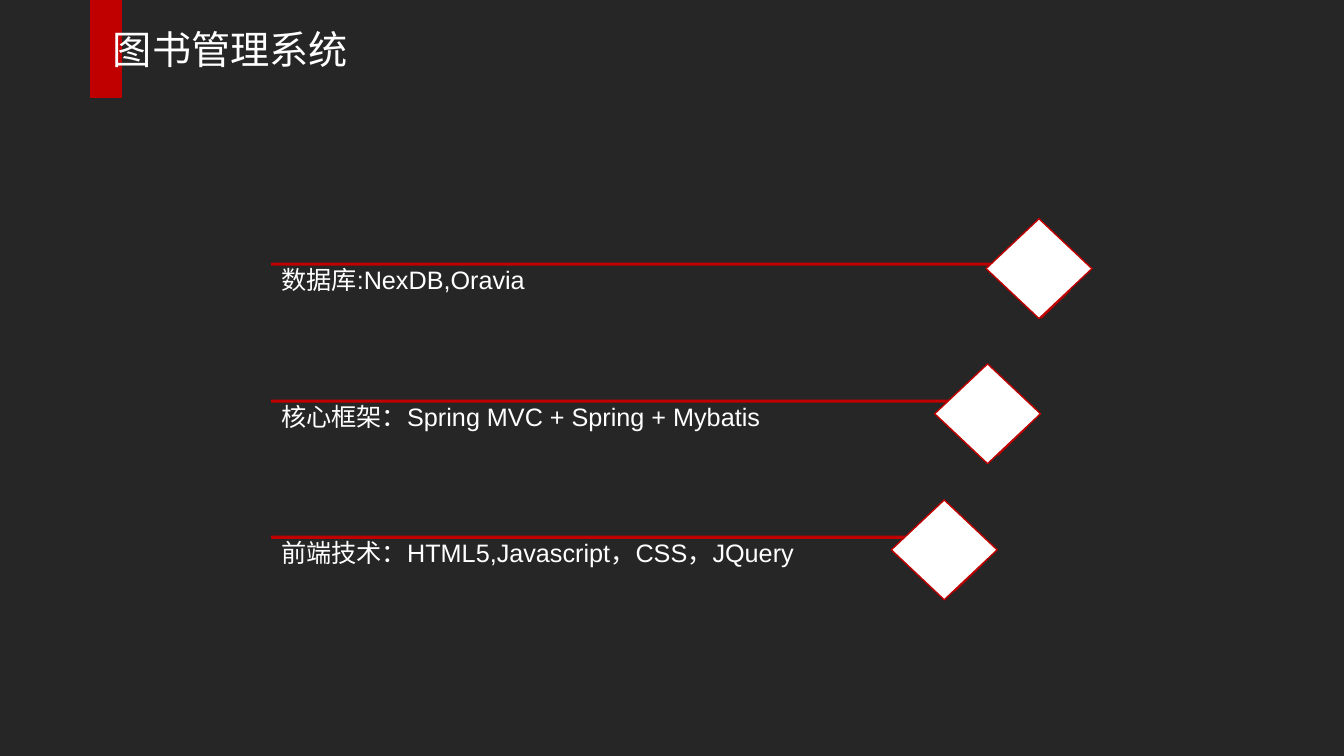
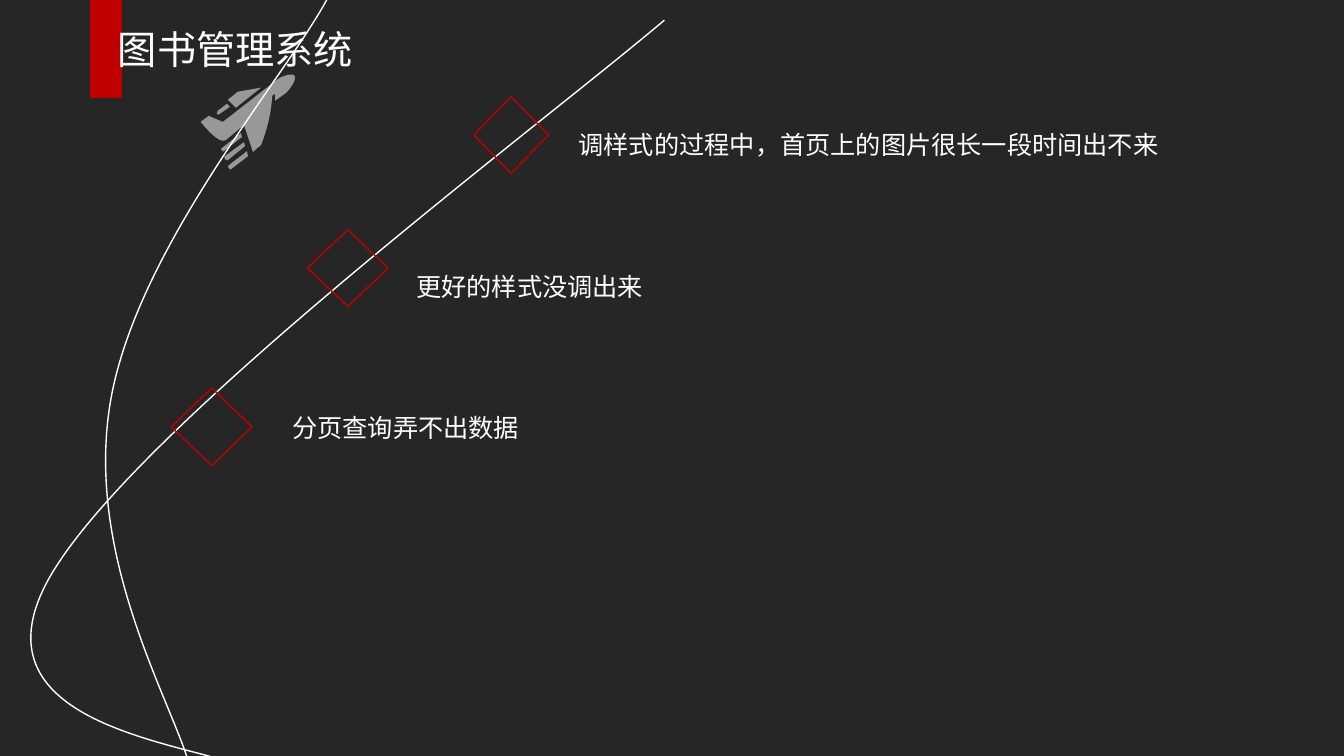
from lxml import etree
from pptx import Presentation
from pptx.dml.color import RGBColor
from pptx.enum.shapes import MSO_SHAPE
from pptx.enum.text import MSO_ANCHOR, MSO_AUTO_SIZE, PP_ALIGN
from pptx.oxml.ns import qn
from pptx.util import Inches, Pt

COLORS = {"bg": "262626", "accent": "C00000", "light": "FFFFFF"}
TITLE = "图书管理系统"

# label, arrow (left, top, width, height), diamond (left, top)
TECH_ROWS = [
    ("数据库:NexDB,Oravia", (2.69, 2.34, 7.95, 0.81), (9.78, 2.17)),
    ("核心框架：Spring MVC + Spring + Mybatis",
     (2.69, 3.7, 7.52, 0.81), (9.27, 3.61)),
    ("前端技术：HTML5,Javascript，CSS，JQuery",
     (2.69, 5.05, 7.09, 0.81), (8.84, 4.96)),
]

# label, text box (left, top, width), diamond box
PROBLEMS = [
    ("调样式的过程中，首页上的图片很长一段时间出不来",
     (5.64, 1.23, 6.34), (4.7, 0.96, 0.74, 0.76)),
    ("更好的样式没调出来", (4.03, 2.64, 6.02), (3.05, 2.28, 0.8, 0.76)),
    ("分页查询弄不出数据", (2.8, 4.04, 5.6), (1.7, 3.85, 0.8, 0.77)),
]

# In a contour, a pair is a corner and six numbers are a cubic curve.
TRAILS = [
    ((1.05, -0.36, 2.38, 7.92),
     [(1.87, 7.56), (1.68, 6.92, 0.83, 5.48, 1.1, 3.96),
      (1.37, 2.45, 2.81, 0.79, 3.24, 0), (3.66, -0.8, 3.24, 0, 3.24, 0)]),
    ((0.31, 0.2, 6.28, 7.44),
     [(2.49, 7.64), (1.97, 7.37, -0.34, 7.24, 0.48, 5.75),
      (1.3, 4.27, 5.33, 1.27, 6.59, 0.2)]),
]

PLANE_BOX = (1.99, 0.75, 0.93, 0.93)
PLANE = [
    # body
    [(2.21, 1.21), (2.07, 1.15), (1.99, 1.21),
     (2.01, 1.23, 2.17, 1.44, 2.24, 1.39), (2.42, 1.24), (2.51, 1.51),
     (2.54, 1.48, 2.55, 1.47, 2.59, 1.44),
     (2.65, 1.28, 2.69, 1.13, 2.7, 0.95), (2.73, 0.93),
     (2.73, 0.95, 2.73, 0.99, 2.73, 1), (2.84, 0.92),
     (2.87, 0.89, 2.95, 0.79, 2.92, 0.75),
     (2.9, 0.72, 2.78, 0.76, 2.75, 0.79)],
    # upper wing
    [(2.34, 1.07), (2.26, 0.99), (2.36, 0.91), (2.59, 0.87)],
    # streaks
    [(2.28, 1.06), (2.18, 1.13), (2.17, 1.14, 2.16, 1.14, 2.15, 1.13),
     (2.15, 1.12, 2.15, 1.11, 2.16, 1.1), (2.25, 1.03)],
    [(2.43, 1.45), (2.26, 1.59), (2.25, 1.59, 2.24, 1.59, 2.23, 1.58),
     (2.22, 1.57, 2.23, 1.56, 2.23, 1.55), (2.42, 1.41)],
    [(2.46, 1.55), (2.29, 1.68), (2.29, 1.68, 2.27, 1.68, 2.27, 1.67),
     (2.26, 1.66, 2.26, 1.65, 2.27, 1.64), (2.45, 1.5)],
    [(2.4, 1.36), (2.22, 1.5), (2.21, 1.51, 2.2, 1.5, 2.2, 1.49),
     (2.19, 1.48, 2.19, 1.47, 2.2, 1.47), (2.39, 1.32)],
]


def rgb(name):
    return RGBColor.from_string(COLORS[name])


def style(shape, fill=None, line=None, width=1):
    shape.shadow.inherit = False
    if fill:
        shape.fill.solid()
        shape.fill.fore_color.rgb = rgb(fill)
    else:
        shape.fill.background()
    if line:
        shape.line.color.rgb = rgb(line)
        shape.line.width = Pt(width)
    else:
        shape.line.fill.background()


def add_preset(s, kind, box, fill=None):
    shape = s.shapes.add_shape(kind, *map(Inches, box))
    style(shape, fill, "accent")
    return shape


def set_text(shape, text, size, font, anchor=MSO_ANCHOR.TOP):
    tf = shape.text_frame
    tf.text = text
    tf.word_wrap = True
    tf.auto_size = MSO_AUTO_SIZE.NONE
    tf.vertical_anchor = anchor
    p = tf.paragraphs[0]
    p.alignment = PP_ALIGN.LEFT
    p.font.size = Pt(size)
    p.font.name = font
    p.font.color.rgb = rgb("light")
    return tf


def add_titled_slide(prs, title_left):
    s = prs.slides.add_slide(prs.slide_layouts.get_by_name("Title Only"))
    title = s.shapes.title
    title.left, title.top, title.width, title.height = map(
        Inches, (title_left, 0.2, 3.25, 0.57))
    set_text(title, TITLE, 28, "Calibri")
    band = add_preset(s, MSO_SHAPE.RECTANGLE, (0.9, 0, 0.3, 0.97), "accent")
    title.element.addprevious(band.element)
    return s


def add_outline(s, box, contours, close=False):
    """Add a freeform filling box, with straight and cubic segments."""
    left, top, width, height = map(Inches, box)
    builder = s.shapes.build_freeform(left, top)
    builder.add_line_segments([(left + width, top + height)], close=False)
    shape = builder.convert_to_shape()
    outline = next(shape.element.iter(qn("a:path")))
    for command in list(outline):
        outline.remove(command)
    for contour in contours:
        for i, numbers in enumerate(contour):
            tag = "cubicBezTo" if len(numbers) == 6 else "lnTo"
            command = etree.SubElement(
                outline, qn(f"a:{tag if i else 'moveTo'}"))
            for x, y in zip(numbers[::2], numbers[1::2]):
                pt = etree.SubElement(command, qn("a:pt"))
                pt.set("x", str(Inches(x) - left))
                pt.set("y", str(Inches(y) - top))
        if close:
            etree.SubElement(outline, qn("a:close"))
    return shape


def add_plane(s):
    plane = add_outline(s, PLANE_BOX, PLANE, close=True)
    style(plane, "light")
    color = plane.element.spPr.find(qn("a:solidFill"))[0]
    etree.SubElement(color, qn("a:alpha")).set("val", "53000")


def add_arrow(s, box, text):
    """Add a line with an open chevron tip and a label under the line."""
    left, top, width, height = box
    right, bottom = left + width, top + height
    line_y = top + 0.28
    arrow = add_outline(s, box, [[
        (left, line_y), (right - 0.51, line_y),
        (right - 0.58, top + 0.16), (right - 0.41, top),
        (right - 0.32, top + 0.05), (right - 0.04, top + 0.33),
        (right, top + 0.42), (right - 0.04, top + 0.54),
        (right - 0.32, bottom)]])
    style(arrow, line="accent", width=2.25)
    tf = set_text(arrow, text, 18, "Arial", MSO_ANCHOR.MIDDLE)
    tf.margin_top, tf.margin_bottom = Inches(0.39), Inches(0.33)


def build_tech_slide(prs):
    s = add_titled_slide(prs, 1.02)
    for text, box, _ in TECH_ROWS:
        add_arrow(s, box, text)
    for _, _, corner in TECH_ROWS:
        add_preset(s, MSO_SHAPE.DIAMOND, (*corner, 1.05, 0.99), "light")


def build_problem_slide(prs):
    s = add_titled_slide(prs, 1.07)
    for box, trail in TRAILS:
        style(add_outline(s, box, [trail]), line="light")
    add_plane(s)
    for _, _, diamond_box in PROBLEMS:
        add_preset(s, MSO_SHAPE.DIAMOND, diamond_box)
    for text, label_box, _ in PROBLEMS:
        tb = s.shapes.add_textbox(*map(Inches, (*label_box, 0.4)))
        set_text(tb, text, 18, "Calibri")


def main():
    prs = Presentation()
    prs.slide_width, prs.slide_height = Inches(13.33), Inches(7.5)
    fill = prs.slide_master.background.fill
    fill.solid()
    fill.fore_color.rgb = rgb("bg")
    build_tech_slide(prs)
    build_problem_slide(prs)
    prs.save("out.pptx")


if __name__ == "__main__":
    main()
